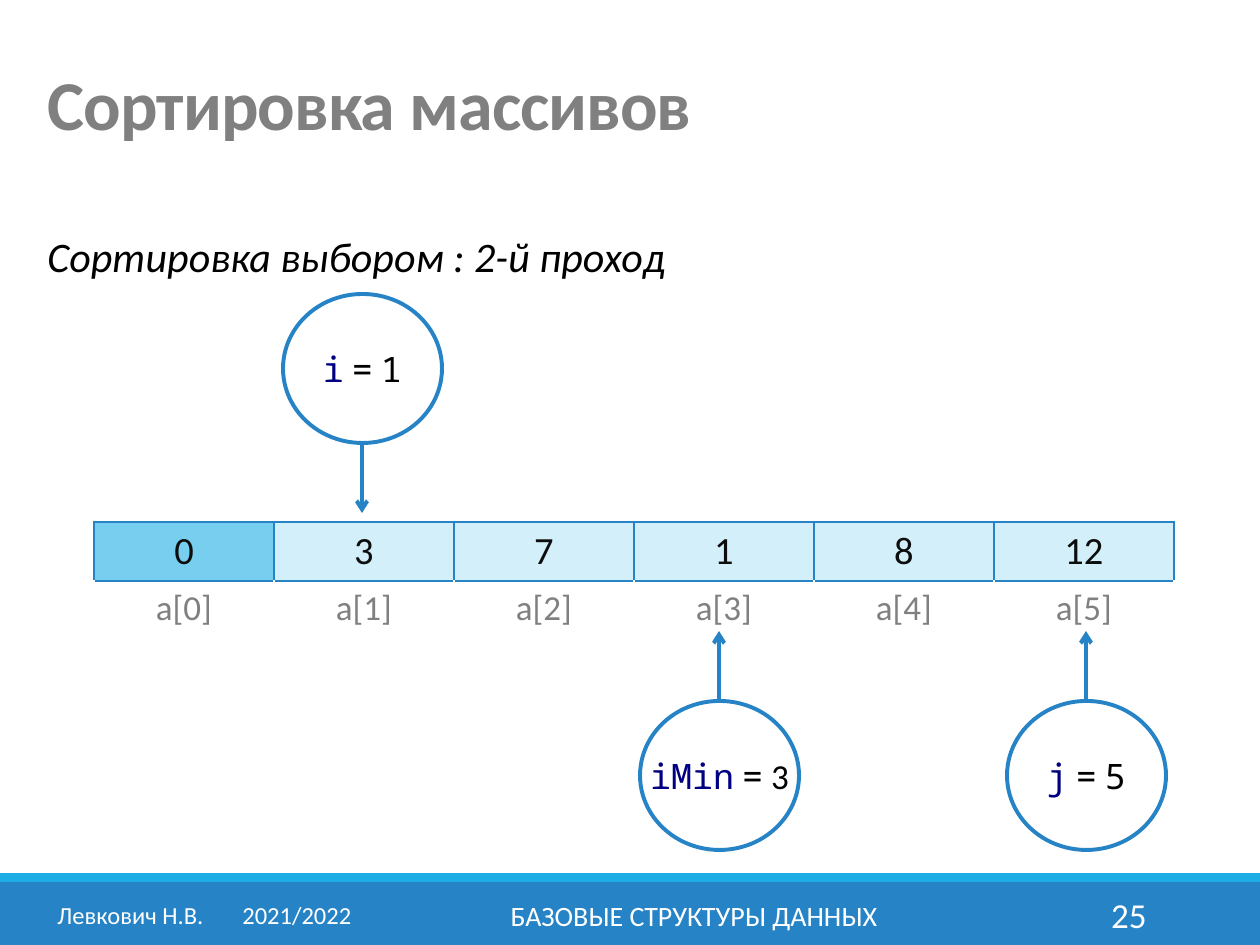
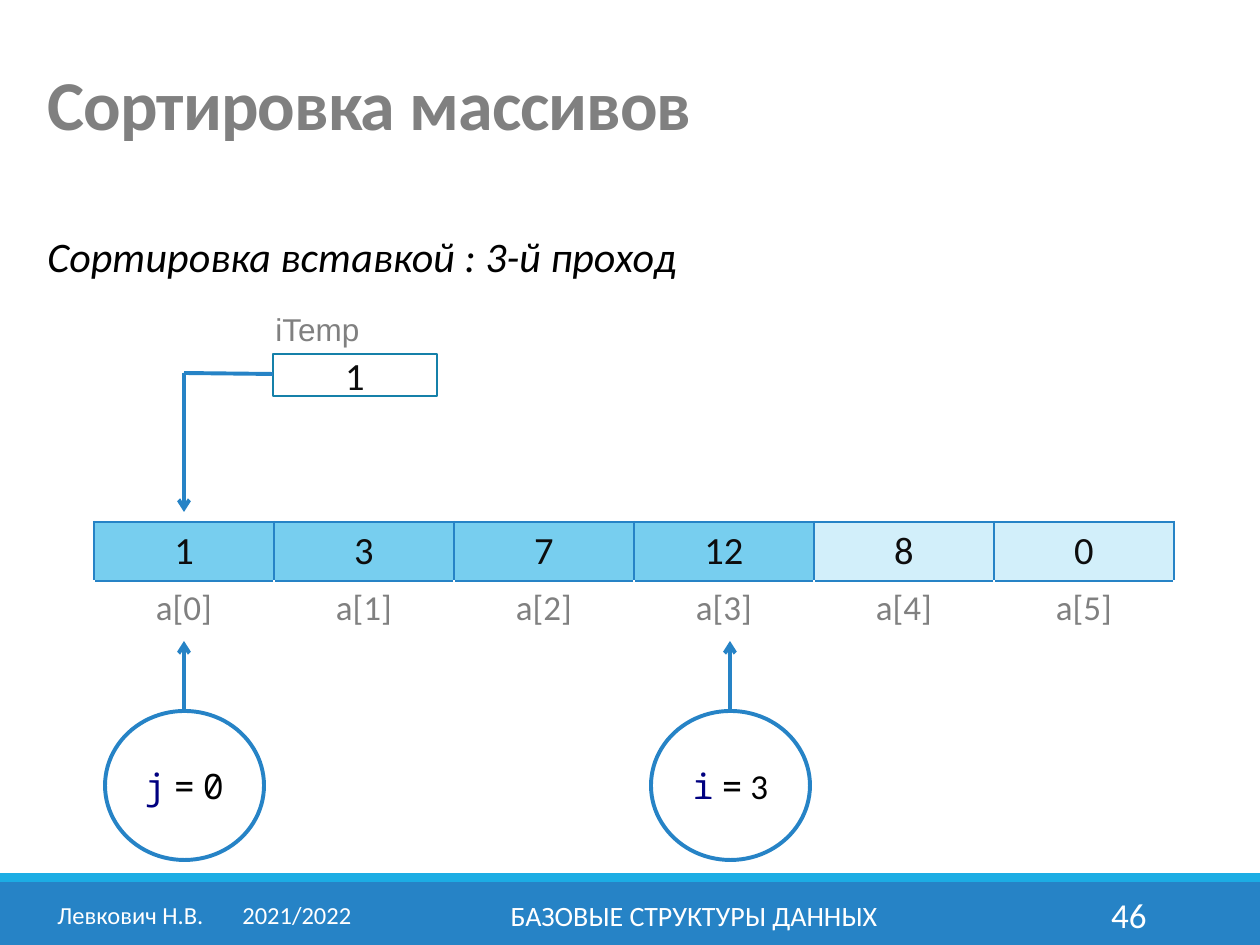
from dataclasses import dataclass
from typing import Optional

from lxml.etree import SubElement
from pptx import Presentation
from pptx.dml.color import RGBColor
from pptx.enum.shapes import MSO_CONNECTOR, MSO_SHAPE
from pptx.enum.text import MSO_ANCHOR, PP_ALIGN
from pptx.oxml import parse_xml
from pptx.oxml.ns import nsdecls, qn
from pptx.util import Emu, Pt

PX = 914400 / 126  # EMU in one px


def px(length: int) -> Emu:
    return Emu(round(length * PX))


# Theme: colours, fonts and sizes
@dataclass(frozen=True)
class Theme:
    blue: str = "2683C6"
    cyan: str = "1CADE4"
    teal: str = "1580A9"
    sorted_cell: str = "77CEEF"
    unsorted_cell: str = "D2EFFA"
    white: str = "FFFFFF"
    black: str = "000000"
    ink: str = "0D0D0D"
    gray: str = "808080"
    navy: str = "000080"
    sans: str = "Calibri"
    mono: str = "Noto Sans Mono"
    label: str = "Arial"
    title_size: int = 40
    subtitle_size: int = 24
    value_size: int = 22
    index_size: int = 20
    work_size: int = 18
    course_size: int = 16
    author_size: int = 14
    arrow_width: float = 2.25
    border_width: float = 1.5
    grid_width: int = 1


THEME = Theme()


# Content types
@dataclass(frozen=True)
class Box:
    left: int
    top: int
    width: int
    height: int

    def emu(self) -> tuple:
        return tuple(px(n) for n in (self.left, self.top, self.width, self.height))


@dataclass(frozen=True)
class Span:
    text: str
    size: int
    color: str
    font: str = THEME.sans
    bold: bool = False
    italic: bool = False
    spacing: int = 0


@dataclass(frozen=True)
class Pointer:
    name: str
    value: str
    center: int
    top: int
    down: bool = False
    value_font: str = THEME.mono


@dataclass(frozen=True)
class Step:
    number: str
    subtitle: str
    values: tuple
    sorted_count: int
    pointers: tuple
    work_value: Optional[str] = None


# Layout
CIRCLE_WIDTH, CIRCLE_HEIGHT, ARROW_LENGTH = 159, 149, 70
ARRAY_LEFT, ARRAY_TOP, CELL_WIDTH = 94, 522, 180
VALUE_ROW, INDEX_ROW = 59, 55
FOOTER_TOP, FOOTER_HEIGHT = 890, 50
YEAR_TAB = 185
WORK_BOX = Box(273, 354, 164, 42)

STEPS = (
    Step("25", "Сортировка выбором : 2-й проход", ("0", "3", "7", "1", "8", "12"), 1,
         (Pointer("i", "1", 362, 294, down=True),
          Pointer("iMin", "3", 719, 701, value_font=THEME.sans),
          Pointer("j", "5", 1086, 701))),
    Step("46", "Сортировка вставкой : 3-й проход", ("1", "3", "7", "12", "8", "0"), 4,
         (Pointer("i", "3", 730, 711, value_font=THEME.sans),
          Pointer("j", "0", 184, 711)),
         work_value="1"),
)


# Text
def add_spans(para, spans: tuple) -> None:
    for span in spans:
        run = para.add_run()
        run.text = span.text
        font = run.font
        font.size, font.name = Pt(span.size), span.font
        font.bold, font.italic = span.bold, span.italic
        font.color.rgb = RGBColor.from_string(span.color)
        if span.spacing:
            run._r.get_or_add_rPr().set("spc", str(span.spacing))


def add_text(shapes, box: Box, span: Span, align=PP_ALIGN.LEFT, anchor=MSO_ANCHOR.MIDDLE):
    frame = shapes.add_textbox(*box.emu()).text_frame
    frame.word_wrap = True
    frame.vertical_anchor = anchor
    para = frame.paragraphs[0]
    para.alignment = align
    add_spans(para, (span,))
    return para


# Shapes and lines
def add_figure(shapes, kind, box: Box, fill: Optional[str] = None,
               line: Optional[str] = None, width: float = THEME.border_width):
    shape = shapes.add_shape(kind, *box.emu())
    shape.shadow.inherit = False
    if fill:
        shape.fill.solid()
        shape.fill.fore_color.rgb = RGBColor.from_string(fill)
    else:
        shape.fill.background()
    if line:
        shape.line.color.rgb = RGBColor.from_string(line)
        shape.line.width = Pt(width)
    else:
        shape.line.fill.background()
    return shape


def center_text(shape, spans: tuple) -> None:
    frame = shape.text_frame
    frame.word_wrap = False
    frame.margin_left = frame.margin_right = frame.margin_top = frame.margin_bottom = 0
    frame.vertical_anchor = MSO_ANCHOR.MIDDLE
    para = frame.paragraphs[0]
    para.alignment = PP_ALIGN.CENTER
    add_spans(para, spans)


def add_line(shapes, start: tuple, end: tuple, arrow: bool = True) -> None:
    line = shapes.add_connector(MSO_CONNECTOR.STRAIGHT, *map(px, start + end))
    line.line.color.rgb = RGBColor.from_string(THEME.blue)
    line.line.width = Pt(THEME.arrow_width)
    if arrow:
        SubElement(line.line._get_or_add_ln(), qn("a:tailEnd"), type="arrow")
    SubElement(line._element.spPr, qn("a:effectLst"))


def add_pointer(slide, pointer: Pointer) -> None:
    shapes = slide.shapes.add_group_shape().shapes
    if pointer.down:
        start = pointer.top + CIRCLE_HEIGHT
        end = start + ARROW_LENGTH
    else:
        start = pointer.top
        end = start - ARROW_LENGTH
    add_line(shapes, (pointer.center, start), (pointer.center, end))
    box = Box(pointer.center - CIRCLE_WIDTH // 2, pointer.top, CIRCLE_WIDTH, CIRCLE_HEIGHT)
    circle = add_figure(shapes, MSO_SHAPE.OVAL, box, line=THEME.blue, width=THEME.arrow_width)
    size = THEME.index_size
    gap = Span(" ", size, THEME.black)
    center_text(circle, (
        Span(pointer.name, size, THEME.navy, THEME.mono),
        gap,
        Span("=", size, THEME.black, THEME.mono),
        gap,
        Span(pointer.value, size, THEME.black, pointer.value_font),
    ))


# Array table
def set_borders(cell, top: str, others: str, width: float) -> None:
    edges = (("lnL", others, width), ("lnR", others, width),
             ("lnT", top, THEME.border_width), ("lnB", others, width))
    properties = cell._tc.get_or_add_tcPr()
    for position, (tag, color, points) in enumerate(edges):
        properties.insert(position, parse_xml(
            f'<a:{tag} {nsdecls("a")} w="{Pt(points)}"><a:solidFill>'
            f'<a:srgbClr val="{color}"/></a:solidFill></a:{tag}>'))


def fill_cell(cell, span: Span, fill: str) -> None:
    cell.fill.solid()
    cell.fill.fore_color.rgb = RGBColor.from_string(fill)
    para = cell.text_frame.paragraphs[0]
    para.alignment = PP_ALIGN.CENTER
    add_spans(para, (span,))


def add_array(slide, step: Step) -> None:
    count = len(step.values)
    box = Box(ARRAY_LEFT, ARRAY_TOP, CELL_WIDTH * count, VALUE_ROW + INDEX_ROW)
    table = slide.shapes.add_table(2, count, *box.emu()).table
    table.first_row = table.horz_banding = False
    table.rows[0].height, table.rows[1].height = px(VALUE_ROW), px(INDEX_ROW)
    for index, value in enumerate(step.values):
        table.columns[index].width = px(CELL_WIDTH)
        value_cell, index_cell = table.cell(0, index), table.cell(1, index)
        fill = THEME.sorted_cell if index < step.sorted_count else THEME.unsorted_cell
        fill_cell(value_cell, Span(value, THEME.value_size, THEME.ink), fill)
        set_borders(value_cell, THEME.blue, THEME.blue, THEME.border_width)
        fill_cell(index_cell, Span(f"a[{index}]", THEME.index_size, THEME.gray), THEME.white)
        index_cell.vertical_anchor = MSO_ANCHOR.MIDDLE
        set_borders(index_cell, THEME.blue, THEME.white, THEME.grid_width)


# Working variable and its way into the array
def add_work_variable(slide, value: str) -> None:
    shapes = slide.shapes
    box = add_figure(shapes, MSO_SHAPE.RECTANGLE, WORK_BOX, line=THEME.teal)
    center_text(box, (Span(value, THEME.value_size, THEME.ink),))
    add_text(shapes, Box(263, 304, 110, 50),
             Span("iTemp", THEME.work_size, THEME.gray, THEME.label), anchor=MSO_ANCHOR.TOP)
    corner = (ARRAY_LEFT + CELL_WIDTH // 2, 373)
    route = shapes.add_group_shape().shapes
    add_line(route, corner, (corner[0], 512))
    add_line(route, (WORK_BOX.left, 374), corner, arrow=False)


# Parts shared by the slides
def add_footer(slide, number: str) -> None:
    shapes = slide.shapes
    add_figure(shapes, MSO_SHAPE.RECTANGLE, Box(0, 882, 1260, 63), THEME.blue)
    add_figure(shapes, MSO_SHAPE.RECTANGLE, Box(0, 873, 1260, 9), THEME.cyan)
    author = add_text(shapes, Box(40, FOOTER_TOP, 329, FOOTER_HEIGHT),
                      Span("Левкович Н.В.\t2021/2022", THEME.author_size, THEME.white),
                      PP_ALIGN.CENTER)
    tabs = SubElement(author._p.get_or_add_pPr(), qn("a:tabLst"))
    SubElement(tabs, qn("a:tab"), pos=str(px(YEAR_TAB)), algn="l")
    add_text(shapes, Box(381, FOOTER_TOP, 626, FOOTER_HEIGHT),
             Span("БАЗОВЫЕ СТРУКТУРЫ ДАННЫХ", THEME.course_size, THEME.white), PP_ALIGN.CENTER)
    add_text(shapes, Box(1023, FOOTER_TOP, 136, FOOTER_HEIGHT),
             Span(number, THEME.index_size, THEME.white), PP_ALIGN.RIGHT)


def add_headings(slide, subtitle: str) -> None:
    title = add_text(slide.shapes, Box(35, 37, 1191, 145),
                     Span("Сортировка массивов", THEME.title_size, THEME.gray,
                          bold=True, spacing=-50))
    title.line_spacing = 0.85
    para = add_text(slide.shapes, Box(35, 224, 1160, 63),
                    Span(subtitle, THEME.subtitle_size, THEME.black, italic=True),
                    anchor=MSO_ANCHOR.TOP)
    para.space_before, para.space_after = Pt(12), Pt(6)


def add_step(deck, step: Step) -> None:
    slide = deck.slides.add_slide(deck.slide_layouts[6])
    add_footer(slide, step.number)
    add_headings(slide, step.subtitle)
    add_array(slide, step)
    if step.work_value is not None:
        add_work_variable(slide, step.work_value)
    for pointer in step.pointers:
        add_pointer(slide, pointer)


def main() -> None:
    deck = Presentation()
    deck.slide_width, deck.slide_height = px(1260), px(945)
    for step in STEPS:
        add_step(deck, step)
    deck.save("out.pptx")


if __name__ == "__main__":
    main()
